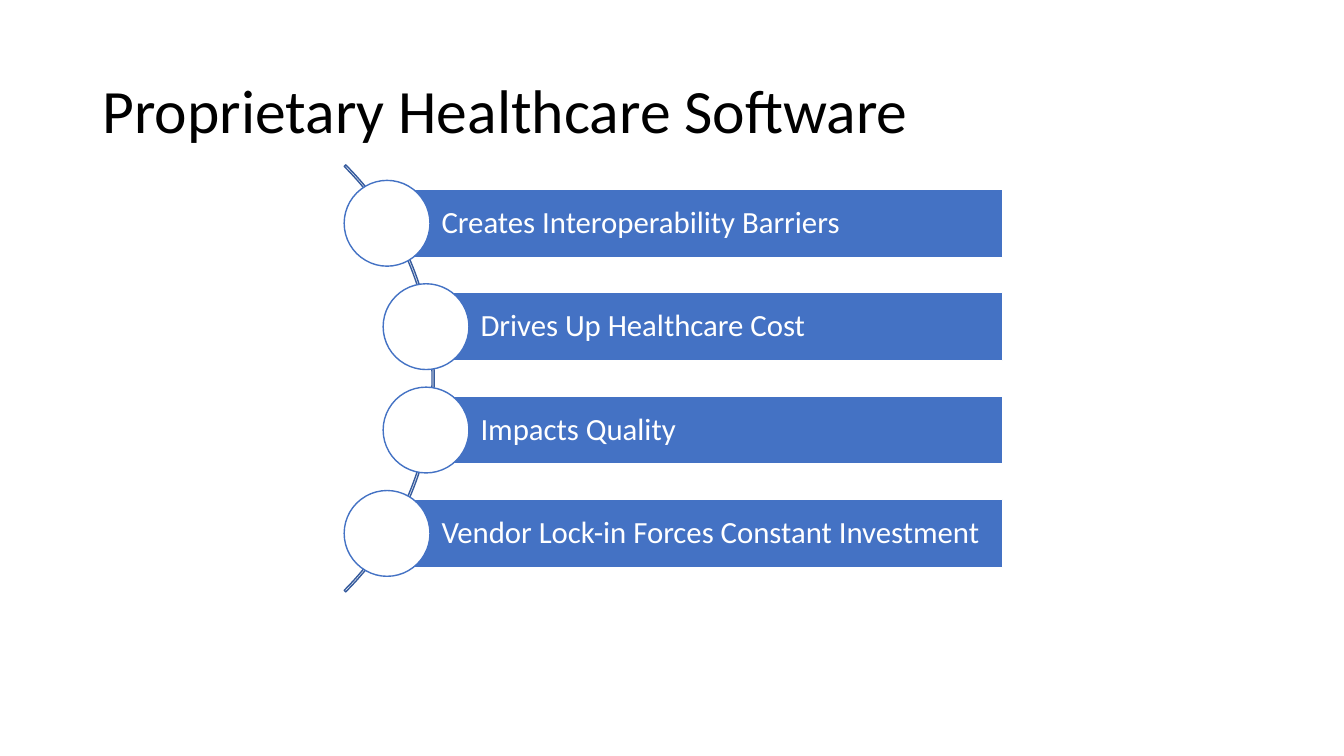
import math
from dataclasses import dataclass

from pptx import Presentation
from pptx import util as u
from pptx.dml.color import RGBColor
from pptx.enum import shapes, text


@dataclass(frozen=True)
class Theme:
    font: str = "Calibri"
    ink: str = "000000"
    paper: str = "FFFFFF"
    accent: str = "4472C4"
    arc_line: str = "365B9D"
    title_size: int = 44
    label_size: int = 22


@dataclass(frozen=True)
class Box:
    left: float
    top: float
    width: float
    height: float

    def inches(self):
        return [u.Inches(n) for n in (self.left, self.top, self.width, self.height)]


THEME = Theme()
WIDTH, HEIGHT = 13.33, 7.5
BARRIERS = [
    "Creates Interoperability Barriers",
    "Drives Up Healthcare Cost",
    "Impacts Quality",
    "Vendor Lock-in Forces Constant Investment",
]


def write(shape, words, size, color, margins=(0.1, 0.05, 0.1, 0.05)):
    frame = shape.text_frame
    frame.word_wrap = True
    frame.vertical_anchor = text.MSO_ANCHOR.MIDDLE
    (frame.margin_left, frame.margin_top,
     frame.margin_right, frame.margin_bottom) = map(u.Inches, margins)
    para = frame.paragraphs[0]
    para.alignment = text.PP_ALIGN.LEFT
    para.line_spacing = 0.9
    span = para.add_run()
    span.text = words
    span.font.name = THEME.font
    span.font.size = u.Pt(size)
    span.font.color.rgb = RGBColor.from_string(color)


def add_shape(page, kind, box, line, fill=None):
    shape = page.shapes.add_shape(kind, *box.inches())
    shape.shadow.inherit = False
    shape.line.color.rgb = RGBColor.from_string(line)
    shape.line.width = u.Pt(1)
    if fill:
        shape.fill.solid()
        shape.fill.fore_color.rgb = RGBColor.from_string(fill)
    else:
        shape.fill.background()
    return shape


def add_title(page, box, words):
    write(page.shapes.add_textbox(*box.inches()), words, THEME.title_size, THEME.ink)


def add_curved_list(page, box, labels):
    kinds = shapes.MSO_SHAPE
    row = box.height / len(labels)
    bar_height, circle = 0.66 * row, 0.83 * row
    right = box.left + box.width

    # Arc on which the circles sit, centred left of the list
    radius = 0.73 * box.height
    center_x = box.left - 0.512 * box.height
    center_y = box.top + box.height / 2
    arc_box = Box(center_x - radius, center_y - radius, 2 * radius, 2 * radius)
    arc = add_shape(page, kinds.BLOCK_ARC, arc_box, THEME.arc_line)
    for index, value in enumerate((189, 27, 0.0036)):
        arc.adjustments[index] = value

    # One bar and one circle per row
    for index, label in enumerate(labels):
        y = box.top + (index + 0.5) * row
        x = center_x + math.sqrt((0.988 * radius) ** 2 - (y - center_y) ** 2)
        bar_box = Box(x, y - bar_height / 2, right - x, bar_height)
        bar = add_shape(page, kinds.RECTANGLE, bar_box, THEME.paper, THEME.accent)
        write(bar, label, THEME.label_size, THEME.paper, (0.54, 0.06, 0.06, 0.06))
        circle_box = Box(x - circle / 2, y - circle / 2, circle, circle)
        add_shape(page, kinds.OVAL, circle_box, THEME.accent, THEME.paper)


def main():
    deck = Presentation()
    deck.slide_width, deck.slide_height = u.Inches(WIDTH), u.Inches(HEIGHT)
    page = deck.slides.add_slide(deck.slide_layouts[6])
    title_box = Box(0.069 * WIDTH, 0.053 * HEIGHT, 0.863 * WIDTH, 0.193 * HEIGHT)
    add_title(page, title_box, "Proprietary Healthcare Software")
    list_box = Box(0.256 * WIDTH, 0.227 * HEIGHT, 0.49 * WIDTH, 0.547 * HEIGHT)
    add_curved_list(page, list_box, BARRIERS)
    deck.save("out.pptx")


if __name__ == "__main__":
    main()
